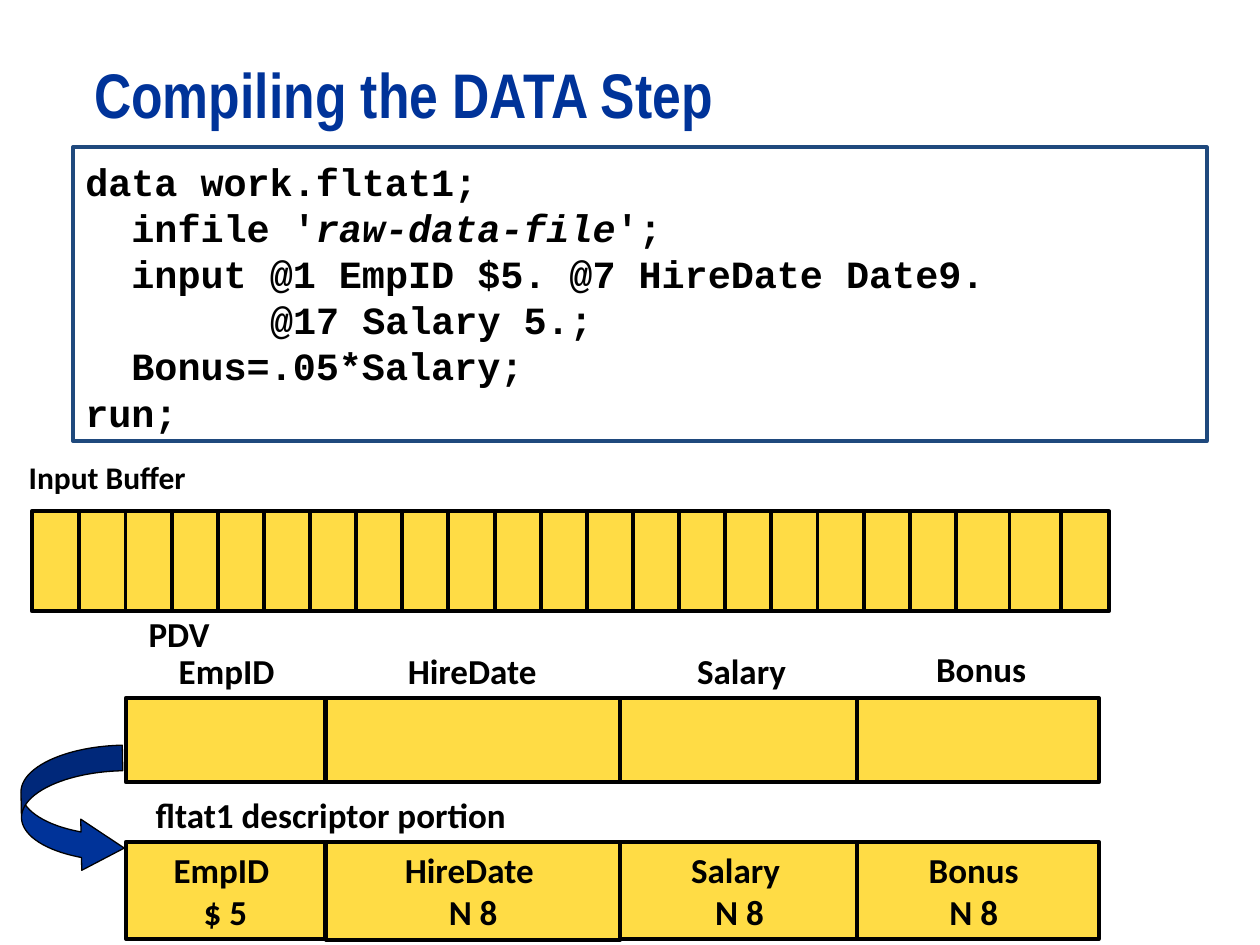
"""Build the slide on compiling the DATA step."""
import pptx
import pptx.dml.color
import pptx.enum.shapes
import pptx.enum.text
import pptx.oxml.ns
import pptx.util
import lxml.etree

Cm = pptx.util.Cm
Pt = pptx.util.Pt
RGBColor = pptx.dml.color.RGBColor
Kind = pptx.enum.shapes.MSO_SHAPE
Align = pptx.enum.text.PP_ALIGN
Anchor = pptx.enum.text.MSO_ANCHOR

BLACK = RGBColor(0x00, 0x00, 0x00)
WHITE = RGBColor(0xFF, 0xFF, 0xFF)
GOLD = RGBColor(0xFF, 0xDC, 0x45)
NAVY = RGBColor(0x00, 0x33, 0x99)
STEEL = RGBColor(0x1F, 0x49, 0x7D)


def draw(kind, left, top, width, height, fill, edge=BLACK, thick=2.25):
    shape = slide.shapes.add_shape(kind, Cm(left), Cm(top), Cm(width), Cm(height))
    shape.shadow.inherit = False
    shape.fill.solid()
    shape.fill.fore_color.rgb = fill
    shape.line.color.rgb = edge
    shape.line.width = Pt(thick)
    return shape


def style(frame, size, font="Calibri", color=BLACK, align=Align.CENTER, anchor=Anchor.MIDDLE):
    frame.vertical_anchor = anchor
    for para in frame.paragraphs:
        para.alignment = align
        for run in para.runs:
            run.font.size = Pt(size)
            run.font.name = font
            run.font.bold = True
            run.font.color.rgb = color


deck = pptx.Presentation()
deck.slide_width = Cm(25.4)
deck.slide_height = Cm(19.05)
slide = deck.slides.add_slide(deck.slide_layouts[5])

title = slide.shapes.title
title.left, title.top, title.width, title.height = Cm(1.9), Cm(1.27), Cm(23.5), Cm(1.9)
frame = title.text_frame
frame.text = "Compiling the DATA Step"
frame.auto_size = pptx.enum.text.MSO_AUTO_SIZE.NONE
frame.margin_left = frame.margin_right = frame.margin_top = frame.margin_bottom = 0
frame.paragraphs[0].line_spacing = Pt(39)
style(frame, 36, "Arial Narrow", NAVY, Align.LEFT, Anchor.TOP)

code = [
    (0, ["data work.fltat1;"]),
    (2, ["infile '", "raw-data-file", "';"]),
    (2, ["input @1 EmpID $5. @7 HireDate Date9."]),
    (8, ["@17 Salary 5.;"]),
    (2, ["Bonus=.05*Salary;"]),
    (0, ["run;"]),
]
frame = draw(Kind.RECTANGLE, 1.47, 2.97, 22.86, 5.92, WHITE, STEEL).text_frame
frame.word_wrap = True
frame.margin_top, frame.margin_bottom = Cm(0.21), Cm(0.05)
for row, (indent, parts) in enumerate(code):
    para = frame.paragraphs[0] if row == 0 else frame.add_paragraph()
    para.line_spacing = Pt(26.4)
    para._p.get_or_add_pPr().set("marL", str(Pt(13.2 * indent)))
    for part in parts:
        run = para.add_run()
        run.text = part
        run.font.italic = part == "raw-data-file"
style(frame, 22, "Courier New", BLACK, Align.LEFT, Anchor.TOP)

top, tall = 10.31, 2.01
draw(Kind.RECTANGLE, 0.64, top, 21.72, tall, GOLD)
for left in [1.6 + 0.93 * step for step in range(20)] + [20.35, 21.39]:
    line = slide.shapes.add_connector(
        pptx.enum.shapes.MSO_CONNECTOR.STRAIGHT, Cm(left), Cm(top), Cm(left), Cm(top + tall))
    line.line.color.rgb = BLACK
    line.line.width = Pt(2.25)
    lxml.etree.SubElement(line._element.spPr, pptx.oxml.ns.qn("a:effectLst"))

fields = [
    ("EmpID \n$ 5", 2.54, 4.01, 1.96),
    ("Salary \nN 8", 12.47, 4.88, 1.96),
    ("HireDate \nN 8", 6.58, 5.92, 1.98),
    ("Bonus \nN 8 ", 17.27, 4.88, 1.96),
]
for text, left, width, height in fields:
    draw(Kind.FLOWCHART_PROCESS, left, 14.07, width, 1.7, GOLD)
    frame = draw(Kind.FLOWCHART_PROCESS, left, 16.97, width, height, GOLD).text_frame
    frame.text = text
    frame.word_wrap = False
    style(frame, 20)

labels = [
    ("Input Buffer", 0.33, 8.97, 5.31, 1.27, 18, Align.LEFT),
    ("PDV", 2.34, 12.22, 2.54, 1.09, 20, Align.CENTER),
    ("EmpID", 3.2, 12.98, 2.74, 1.09, 20, Align.CENTER),
    ("HireDate", 7.82, 12.98, 3.4, 1.09, 20, Align.CENTER),
    ("Salary", 13.64, 12.98, 2.62, 1.09, 20, Align.CENTER),
    ("Bonus", 18.42, 12.93, 2.72, 1.09, 20, Align.CENTER),
    ("fltat1 descriptor portion", 2.29, 15.88, 8.76, 1.09, 20, Align.CENTER),
]
for text, left, top, width, height, size, align in labels:
    frame = slide.shapes.add_textbox(Cm(left), Cm(top), Cm(width), Cm(height)).text_frame
    frame.text = text
    frame.word_wrap = True
    style(frame, size, align=align)

arrow = draw(Kind.CURVED_LEFT_ARROW, 0.43, 15.04, 2.06, 2.59, NAVY, thick=0.75)
arrow.rotation = 178.9
arrow._element.spPr.xfrm.set("flipV", "1")
for spot, value in enumerate([0.25, 0.5, 0.42]):
    arrow.adjustments[spot] = value

deck.save("out.pptx")
